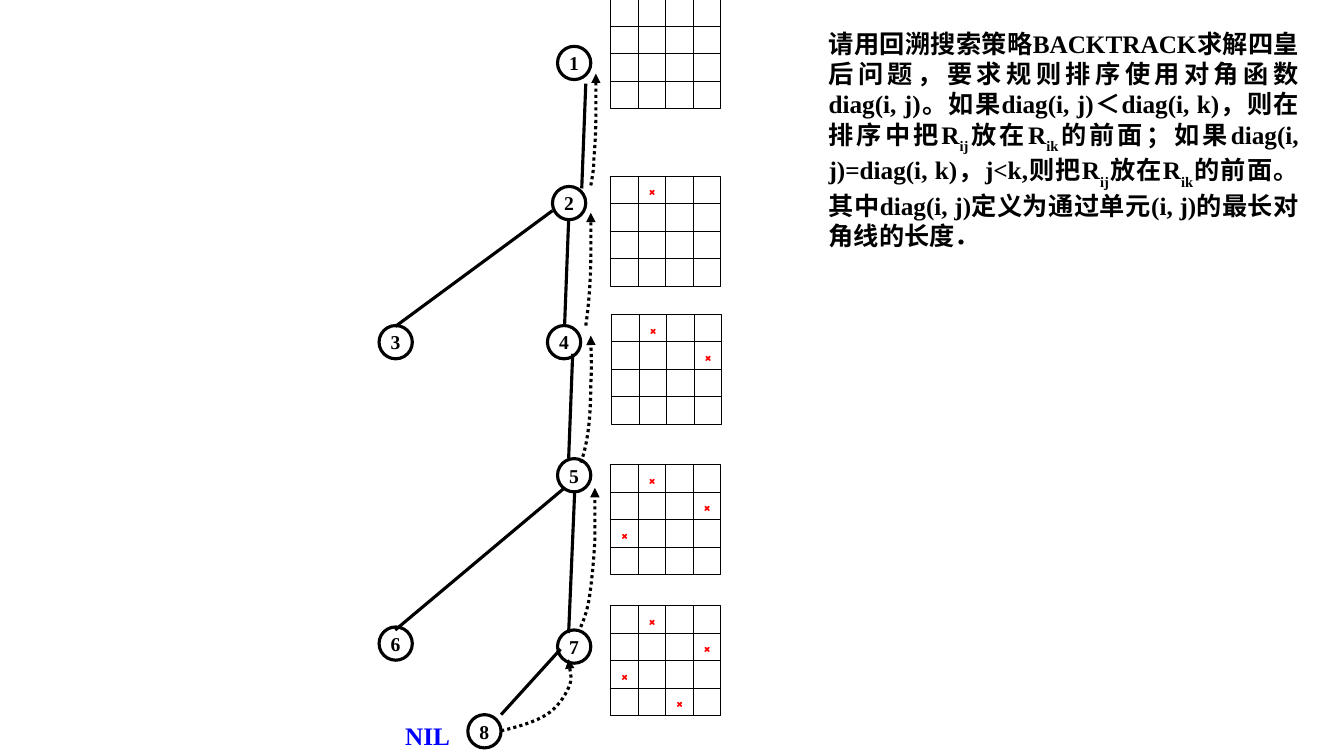
from lxml import etree
from pptx import Presentation
from pptx.dml.color import RGBColor
from pptx.enum.dml import MSO_LINE
from pptx.enum.shapes import MSO_CONNECTOR, MSO_SHAPE
from pptx.enum.text import MSO_ANCHOR, PP_ALIGN
from pptx.oxml.ns import qn
from pptx.util import Inches, Pt

COLORS = {"ink": "000000", "queen": "FF0000", "nil": "0000FF"}
SERIF, QUEEN_FONT = "Times New Roman", "Comic Neue"
BOARD_SIDE, BOARD_CELLS, NODE = 1.09, 4, 0.33
CELL = BOARD_SIDE / BOARD_CELLS

# Boards: left, top, queens as (row, column)
QUEENS = [(0, 1), (1, 3), (2, 0), (3, 2)]
BOARDS = [(6.06, -0.01, []), (6.06, 1.75, QUEENS[:1]), (6.07, 3.12, QUEENS[:2]),
          (6.06, 4.61, QUEENS[:3]), (6.06, 6.01, QUEENS)]

# Search tree: node corners, then edges as start and end points
NODES = {"1": (5.53, 0.46), "2": (5.48, 1.85), "3": (3.76, 3.23), "4": (5.43, 3.23),
         "5": (5.53, 4.55), "6": (3.76, 6.22), "7": (5.53, 6.25), "8": (4.64, 7.09)}
EDGES = [((5.81, 0.83), (5.77, 1.87)), ((5.64, 2.18), (5.6, 3.22)),
         ((5.48, 2.09), (3.92, 3.24)), ((5.68, 3.51), (5.64, 4.55)),
         ((5.6, 4.84), (3.92, 6.25)), ((5.7, 4.87), (5.64, 6.28)),
         ((5.56, 6.44), (4.97, 7.09))]

# Backtracking arrows: start point, then three points per Bezier piece
BACKTRACKS = [
    [(4.97, 7.25), (5.14, 7.21), (5.31, 7.16), (5.42, 7.09), (5.53, 7.02),
     (5.6, 6.91), (5.64, 6.82), (5.68, 6.73), (5.64, 6.59), (5.64, 6.54)],
    [(5.76, 6.22), (5.8, 6.13), (5.83, 6.04), (5.85, 5.9), (5.87, 5.76),
     (5.89, 5.55), (5.9, 5.37), (5.9, 5.19), (5.9, 4.93), (5.9, 4.84)],
    [(5.76, 4.59), (5.79, 4.51), (5.81, 4.43), (5.83, 4.3), (5.85, 4.17),
     (5.86, 3.98), (5.86, 3.81), (5.87, 3.65), (5.86, 3.41), (5.86, 3.33)],
    [(5.81, 3.23), (5.82, 3.16), (5.83, 3.09), (5.84, 2.97), (5.85, 2.86),
     (5.86, 2.68), (5.86, 2.54), (5.86, 2.4), (5.86, 2.18), (5.86, 2.11)],
    [(5.86, 1.84), (5.87, 1.77), (5.89, 1.7), (5.89, 1.58), (5.9, 1.47),
     (5.91, 1.3), (5.91, 1.15), (5.91, 1.01), (5.91, 0.8), (5.91, 0.73)],
]

# Task: (text, is subscript)
TASK = [
    ("请用回溯搜索策略BACKTRACK求解四皇后问题，要求规则排序使用对角函数"
     "diag(i, j)。如果diag(i, j)＜diag(i, k)，则在排序中把R", False),
    ("ij", True), ("放在R", False), ("ik", True),
    ("的前面；如果diag(i, j)=diag(i, k)，j<k,则把R", False),
    ("ij", True), ("放在R", False), ("ik", True),
    ("的前面。其中diag(i, j)定义为通过单元(i, j)的最长对角线的长度．", False),
]


def color(name):
    return RGBColor.from_string(COLORS[name])


def outline(item, width):
    item.line.color.rgb = color("ink")
    item.line.width = Pt(width)


def add_run(paragraph, text, size, ink="ink", font=SERIF, subscript=False):
    run = paragraph.add_run()
    run.text = text
    run.font.size, run.font.name, run.font.bold = Pt(size), font, True
    run.font.color.rgb = color(ink)
    if subscript:
        run.font._element.set("baseline", "-30000")


def add_outlined(shapes, kind, left, top, size, width, label="", **style):
    shape = shapes.add_shape(kind, *map(Inches, (left, top, size, size)))
    shape.shadow.inherit = False
    shape.fill.background()
    outline(shape, width)
    if label:
        frame = shape.text_frame
        frame.word_wrap, frame.vertical_anchor = False, MSO_ANCHOR.MIDDLE
        frame.paragraphs[0].alignment = PP_ALIGN.CENTER
        add_run(frame.paragraphs[0], label, 14, **style)


def add_text(left, top, width, height, align, parts, ink="ink"):
    frame = slide.shapes.add_textbox(*map(Inches, (left, top, width, height))).text_frame
    frame.word_wrap = True
    frame.paragraphs[0].alignment = align
    for text, subscript in parts:
        add_run(frame.paragraphs[0], text, 18, ink, subscript=subscript)


def bend(freeform):
    """Turn every three line segments into one cubic Bezier piece."""
    segments = list(freeform._element.iter(qn("a:lnTo")))
    outline_path = segments[0].getparent()
    for i in range(0, len(segments), 3):
        curve = etree.SubElement(outline_path, qn("a:cubicBezTo"))
        for segment in segments[i:i + 3]:
            curve.append(segment[0])
            outline_path.remove(segment)


deck = Presentation()
deck.slide_width, deck.slide_height = Inches(13.33), Inches(7.5)
slide = deck.slides.add_slide(deck.slide_layouts[6])

# Chessboards
for left, top, queens in BOARDS:
    board = slide.shapes.add_group_shape()
    for row in range(BOARD_CELLS):
        for column in range(BOARD_CELLS):
            add_outlined(board.shapes, MSO_SHAPE.RECTANGLE, left + column * CELL,
                         top + row * CELL, CELL, 0.75,
                         "×" if (row, column) in queens else "",
                         ink="queen", font=QUEEN_FONT)

# Tree nodes and dead end
for number, (left, top) in NODES.items():
    add_outlined(slide.shapes, MSO_SHAPE.OVAL, left, top, NODE, 2.25, number)
add_text(3.92, 7.1, 0.67, 0.4, PP_ALIGN.LEFT, [("NIL", False)], "nil")

# Tree edges
for start, end in EDGES:
    edge = slide.shapes.add_connector(MSO_CONNECTOR.STRAIGHT, *map(Inches, start + end))
    outline(edge, 2.25)
    etree.SubElement(edge._element.spPr, qn("a:effectLst"))

# Backtracking arrows
for start, *rest in BACKTRACKS:
    builder = slide.shapes.build_freeform(*map(Inches, start))
    builder.add_line_segments([tuple(map(Inches, point)) for point in rest], close=False)
    arrow = builder.convert_to_shape()
    bend(arrow)
    arrow.shadow.inherit = False
    arrow.fill.background()
    outline(arrow, 2.25)
    arrow.line.dash_style = MSO_LINE.ROUND_DOT
    etree.SubElement(arrow.line._get_or_add_ln(), qn("a:tailEnd"), type="triangle")

# Task statement
add_text(8.12, 0.23, 4.86, 1.92, PP_ALIGN.JUSTIFY, TASK)

deck.save("out.pptx")
